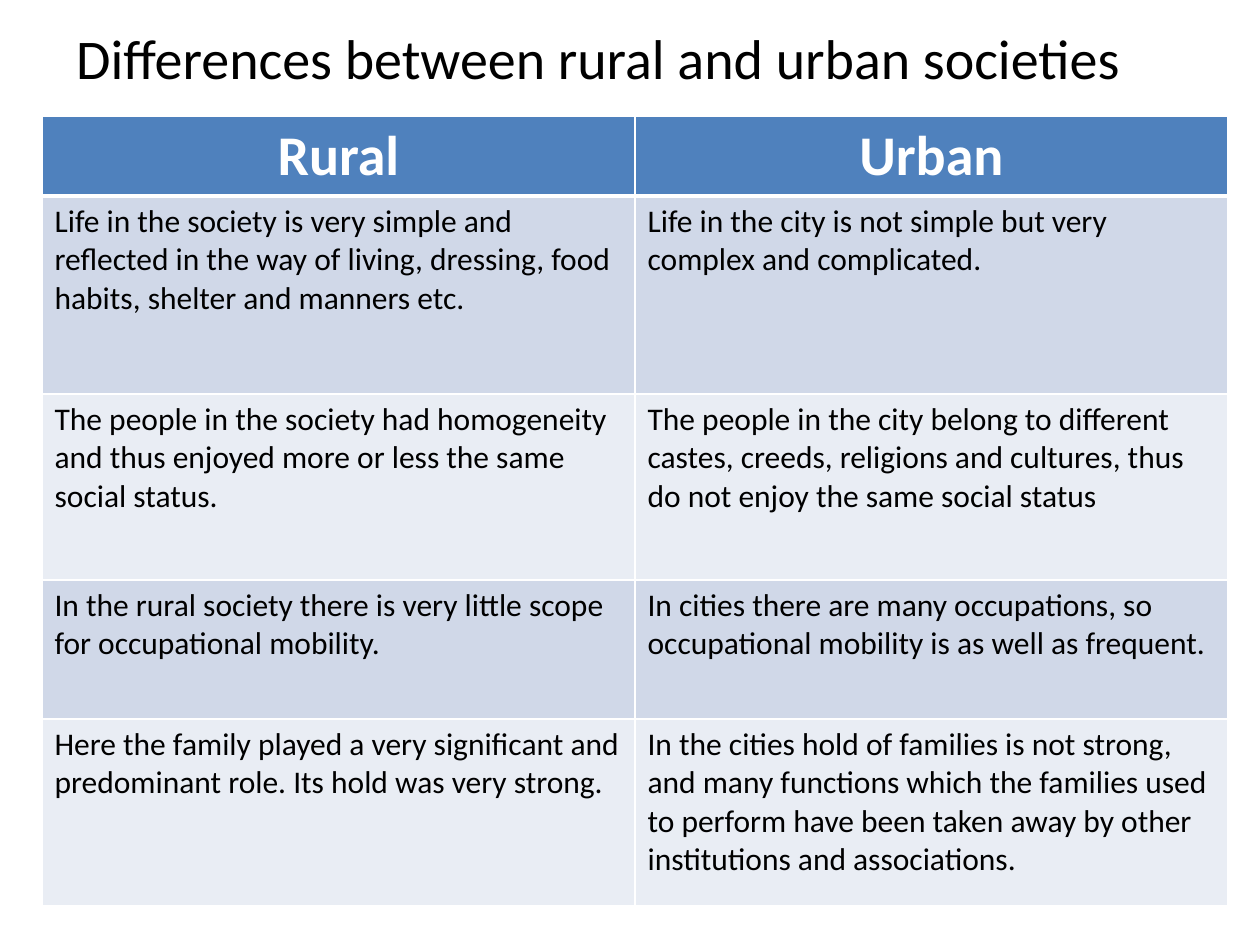
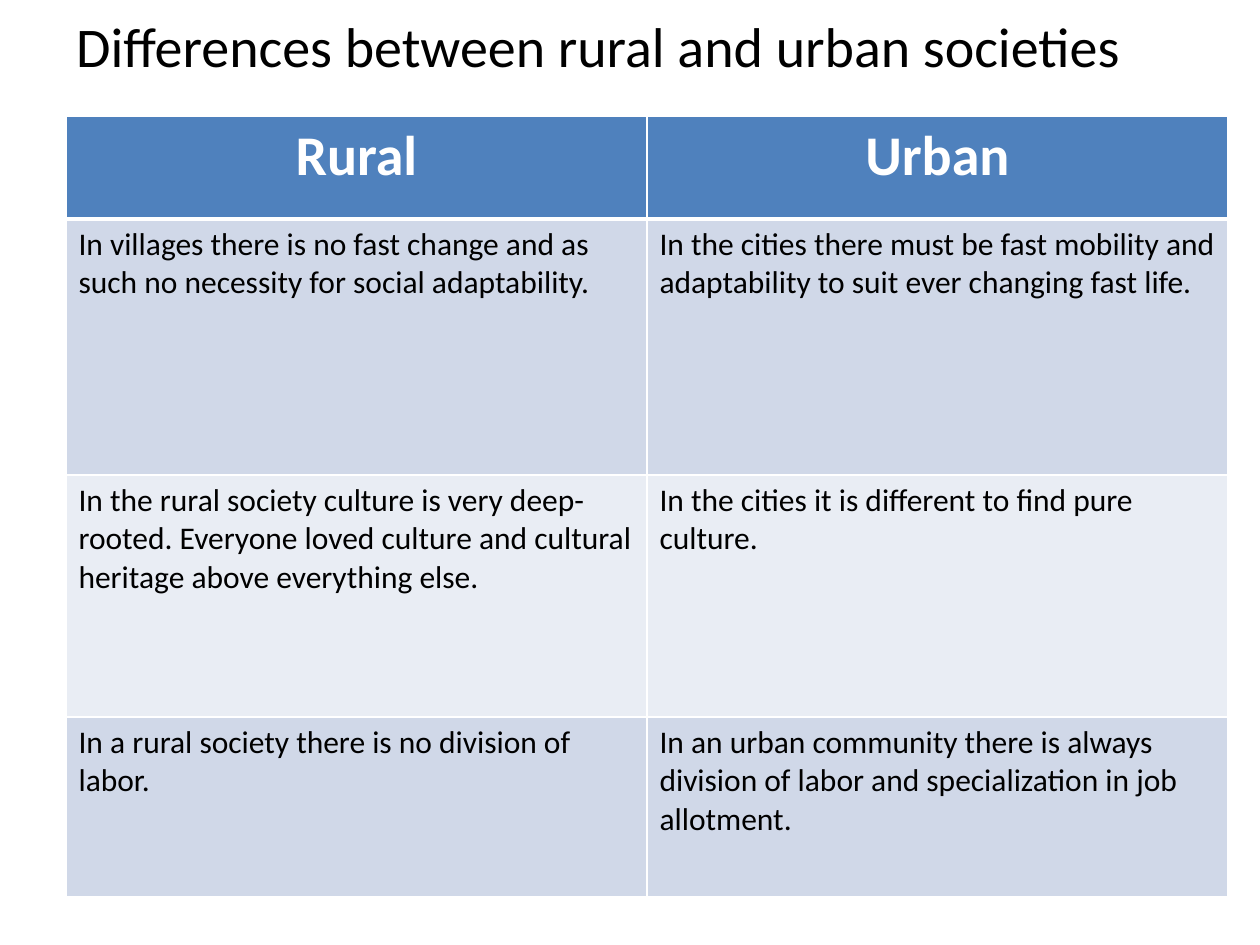
"""Builds two slides that compare rural and urban societies."""
from lxml import etree
from pptx import Presentation
from pptx.dml.color import RGBColor
from pptx.enum.text import MSO_ANCHOR, PP_ALIGN
from pptx.oxml.ns import qn
from pptx.util import Pt

CENTER, LEFT = PP_ALIGN.CENTER, PP_ALIGN.LEFT
MIDDLE = MSO_ANCHOR.MIDDLE
PX = 914400 / 126
BLANK_LAYOUT = 6
FONT = "Calibri"
BLACK = RGBColor(0x00, 0x00, 0x00)
WHITE = RGBColor(0xFF, 0xFF, 0xFF)
HEADER_BLUE = RGBColor(0x4F, 0x81, 0xBD)
BANDS = (RGBColor(0xD0, 0xD8, 0xE8), RGBColor(0xE9, 0xED, 0xF4))
THIN, THICK = 1, 3

TITLE = "Differences between rural and urban societies"
HEADINGS = ("Rural", "Urban")
LIFE_AND_FAMILY = [
    ("Life in the society is very simple and reflected in the way of living, "
     "dressing, food habits, shelter and manners etc.",
     "Life in the city is not simple but very complex and complicated."),
    ("The people in the society had homogeneity and thus enjoyed more or less "
     "the same social status.",
     "The people in the city belong to different castes, creeds, religions and "
     "cultures, thus do not enjoy the same social status"),
    ("In the rural society there is very little scope for occupational mobility.",
     "In cities there are many occupations, so occupational mobility is as well "
     "as frequent."),
    ("Here the family played a very significant and predominant role. Its hold "
     "was very strong.",
     "In the cities hold of families is not strong, and many functions which the "
     "families used to perform have been taken away by other institutions and "
     "associations."),
]
CULTURE_AND_LABOR = [
    ("In villages there is no fast change and as such no necessity for social "
     "adaptability.",
     "In the cities there must be fast mobility and adaptability to suit ever "
     "changing fast life."),
    ("In the rural society culture is very deep-rooted. Everyone loved culture "
     "and cultural heritage above everything else.",
     "In the cities it is different to find pure culture."),
    ("In a rural society there is no division of labor.",
     "In an urban community there is always division of labor and "
     "specialization in job allotment."),
]


def px(length):
    """Turn px into EMU."""
    return round(length * PX)


def write(frame, text, size=18, color=BLACK, bold=False, align=LEFT):
    """Write one formatted paragraph into a text frame."""
    para = frame.paragraphs[0]
    para.alignment = align
    span = para.add_run()
    span.text = text
    span.font.name = FONT
    span.font.size = Pt(size)
    span.font.bold = bold
    span.font.color.rgb = color


def add_borders(cell, top, bottom):
    """Draw white borders around a cell, with widths in points."""
    properties = cell._tc.get_or_add_tcPr()
    widths = {"a:lnL": THIN, "a:lnR": THIN, "a:lnT": top, "a:lnB": bottom}
    for tag, width in widths.items():
        line = etree.SubElement(properties, qn(tag), w=str(Pt(width)))
        fill = etree.SubElement(line, qn("a:solidFill"))
        etree.SubElement(fill, qn("a:srgbClr"), val=str(WHITE))


class Deck:
    """Holds the presentation and its current page."""

    def __init__(self):
        """Start an empty 10 by 7.5 inch deck."""
        self.deck = Presentation()
        self.deck.slide_width, self.deck.slide_height = px(1260), px(945)
        self.page = None

    def add_page(self):
        """Start a new blank page."""
        layout = self.deck.slide_layouts[BLANK_LAYOUT]
        self.page = self.deck.slides.add_slide(layout)

    def add_title(self, top, height):
        """Add the shared title."""
        box = self.page.shapes.add_textbox(px(63), px(top), px(1071), px(height))
        frame = box.text_frame
        frame.word_wrap = True
        frame.vertical_anchor = MIDDLE
        frame.margin_left = frame.margin_right = 0
        write(frame, TITLE, size=32, align=CENTER)

    def add_comparison(self, left, column, heights, rows):
        """Add a two-column table under the Rural and Urban headings."""
        table = self.page.shapes.add_table(
            len(heights), len(HEADINGS), px(left), px(116),
            px(column * len(HEADINGS)), px(sum(heights))).table
        table.horz_banding = False
        for index, texts in enumerate([HEADINGS, *rows]):
            table.rows[index].height = px(heights[index])
            header = index == 0
            for cell, text in zip(table.rows[index].cells, texts):
                add_borders(cell, top=THICK if index == 1 else THIN,
                            bottom=THICK if header else THIN)
                cell.fill.solid()
                if header:
                    cell.fill.fore_color.rgb = HEADER_BLUE
                    write(cell.text_frame, text, size=32, color=WHITE,
                          bold=True, align=CENTER)
                else:
                    cell.fill.fore_color.rgb = BANDS[(index - 1) % len(BANDS)]
                    write(cell.text_frame, text)


def main():
    """Build and save the deck."""
    deck = Deck()
    deck.add_page()
    deck.add_title(top=21, height=73)
    deck.add_comparison(42, 593, (80, 198, 186, 139, 187), LIFE_AND_FAMILY)
    deck.add_page()
    deck.add_title(top=-4, height=98)
    deck.add_comparison(66, 581, (103, 256, 242, 180), CULTURE_AND_LABOR)
    deck.deck.save("out.pptx")


if __name__ == "__main__":
    main()
